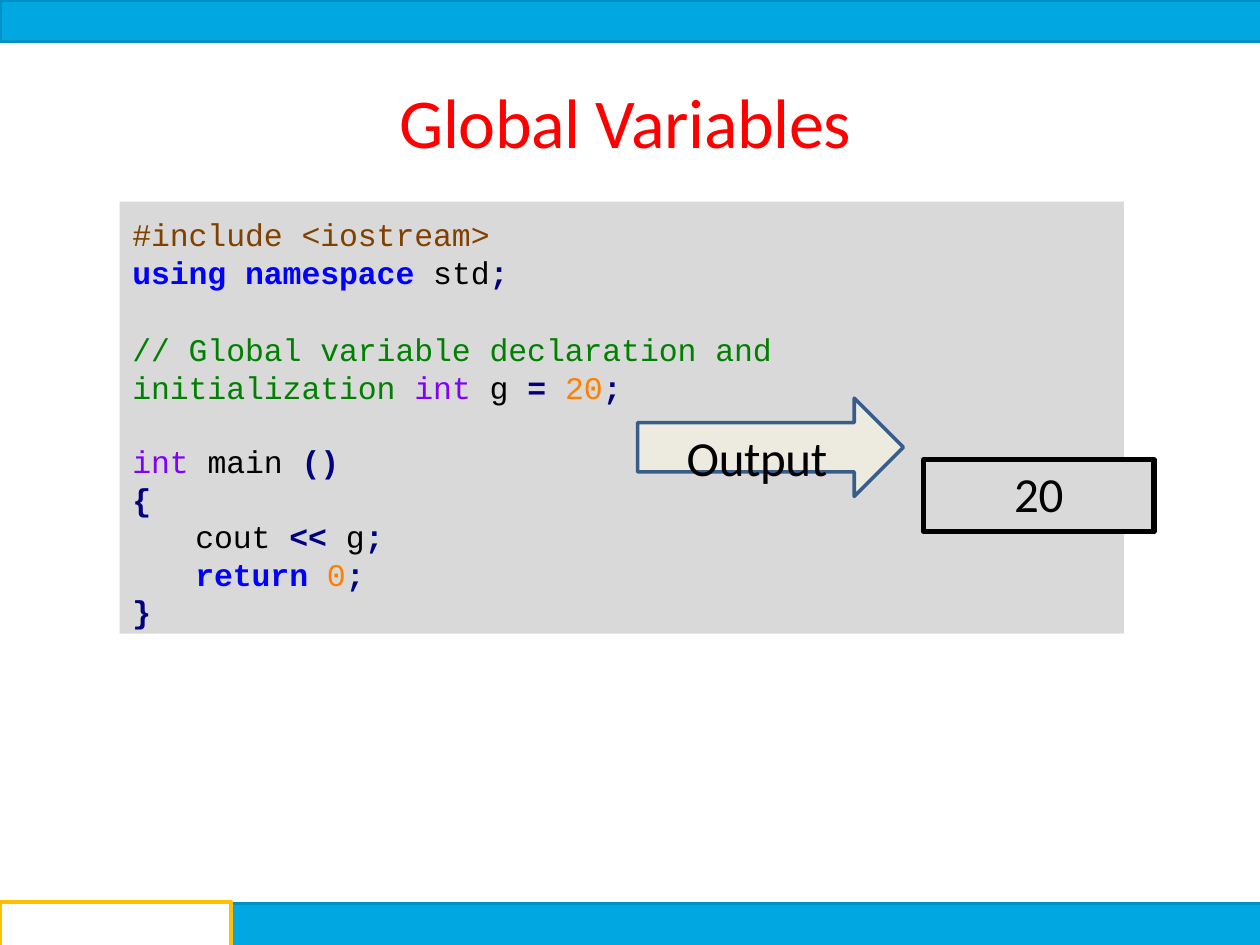
"""Build the Global Variables slide with its code listing and output."""
import pptx
import pptx.dml.color
import pptx.enum.shapes
import pptx.enum.text
import pptx.util

Inches = pptx.util.Inches
Pt = pptx.util.Pt
RGB = pptx.dml.color.RGBColor
KIND = pptx.enum.shapes.MSO_SHAPE
ALIGN = pptx.enum.text.PP_ALIGN

CYAN = RGB(0x00, 0xA7, 0xE1)
TEAL = RGB(0x00, 0x91, 0xC4)
GOLD = RGB(0xFF, 0xC0, 0x00)
WHITE = RGB(0xFF, 0xFF, 0xFF)
GREY = RGB(0xD9, 0xD9, 0xD9)
CREAM = RGB(0xED, 0xEB, 0xE0)
STEEL = RGB(0x38, 0x5D, 0x89)
RED = RGB(0xFF, 0x00, 0x00)
BLACK = RGB(0x00, 0x00, 0x00)
BROWN = RGB(0x80, 0x40, 0x00)
BLUE = RGB(0x00, 0x00, 0xFF)
NAVY = RGB(0x00, 0x00, 0x80)
GREEN = RGB(0x00, 0x80, 0x00)
VIOLET = RGB(0x80, 0x00, 0xFF)
ORANGE = RGB(0xFF, 0x80, 0x00)

deck = pptx.Presentation()
deck.slide_width = Inches(10)
deck.slide_height = Inches(7.5)
slide = deck.slides.add_slide(deck.slide_layouts[6])
shapes = slide.shapes


def block(kind, area, fill, line=None, width=0):
    shape = shapes.add_shape(kind, *[Inches(n) for n in area])
    shape.shadow.inherit = False
    shape.fill.solid()
    shape.fill.fore_color.rgb = fill
    if line is None:
        shape.line.fill.background()
    else:
        shape.line.color.rgb = line
        shape.line.width = Pt(width)
    return shape


def write(shape, rows, font, size, track, align=ALIGN.LEFT):
    frame = shape.text_frame
    frame.word_wrap = True
    frame.vertical_anchor = pptx.enum.text.MSO_ANCHOR.TOP
    frame.margin_left = frame.margin_right = frame.margin_bottom = 0
    frame.margin_top = Inches(0.03)
    for i, row in enumerate(rows):
        para = frame.paragraphs[0] if i == 0 else frame.add_paragraph()
        para.alignment = align
        for text, color, bold in row:
            run = para.add_run()
            run.text = text
            run.font.name = font
            run.font.size = Pt(size)
            run.font.bold = bold
            run.font.color.rgb = color
            run.font._element.set("spc", str(track))
    return frame


for area, fill in [
    ((0, 0, 10, 0.33), CYAN),
    ((1.83, 7.17, 8.17, 0.33), CYAN),
    ((0, 7.16, 1.83, 0.34), WHITE),
    ((0.95, 1.6, 7.97, 3.43), GREY),
]:
    block(KIND.RECTANGLE, area, fill)

for points, color, width in [
    ([(0, 0.33), (10, 0.33)], TEAL, 2.04),
    ([(10, 0), (0, 0), (0, 0.33)], TEAL, 2.04),
    ([(10, 7.17), (1.83, 7.17)], TEAL, 2.04),
    ([(1.83, 7.5), (1.83, 7.16), (0, 7.16), (0, 7.5)], GOLD, 2.28),
]:
    spots = [(Inches(x), Inches(y)) for x, y in points]
    path = shapes.build_freeform(*spots[0])
    path.add_line_segments(spots[1:], close=False)
    edge = path.convert_to_shape()
    edge.shadow.inherit = False
    edge.fill.background()
    edge.line.color.rgb = color
    edge.line.width = Pt(width)

title = shapes.add_textbox(Inches(3.17), Inches(0.59), Inches(3.8), Inches(0.7))
write(title, [[("Global Variables", RED, False)]], "Calibri", 40, -20)

head = [
    [("#include <iostream>", BROWN, False)],
    [("using namespace ", BLUE, True), ("std", BLACK, False), (";", NAVY, True)],
    [("// Global variable declaration and", GREEN, False)],
    [("initialization ", GREEN, False), ("int ", VIOLET, False),
     ("g ", BLACK, False), ("= ", NAVY, True), ("20", ORANGE, False),
     (";", NAVY, True)],
]
main = [
    [("int ", VIOLET, False), ("main ", BLACK, False), ("()", NAVY, True)],
    [("{", NAVY, True)],
    [("cout ", BLACK, False), ("<< ", NAVY, True), ("g", BLACK, False),
     (";", NAVY, True)],
    [("return ", BLUE, True), ("0", ORANGE, False), (";", NAVY, True)],
    [("}", NAVY, True)],
]
frames = []
for rows, top, wide in [(head, 1.68, 7.34), (main, 3.48, 3)]:
    box = shapes.add_textbox(Inches(1.05), Inches(top), Inches(wide), Inches(1.5))
    frame = write(box, rows, "Courier New", 18, -5)
    for para in frame.paragraphs:
        para.line_spacing = Pt(21.5)
    frames.append(frame)
frames[0].paragraphs[2].space_before = Pt(22.8)
for para in frames[1].paragraphs[2:4]:
    para._p.get_or_add_pPr().set("marL", str(Inches(0.5)))

value = block(KIND.RECTANGLE, (7.33, 3.65, 1.83, 0.57), GREY, BLACK, 3)
write(value, [[("20", BLACK, False)]], "Calibri", 28, -20, ALIGN.CENTER)

block(KIND.RIGHT_ARROW, (5.06, 3.16, 2.11, 0.78), CREAM, STEEL, 2.04)
label = shapes.add_textbox(Inches(5.45), Inches(3.36), Inches(1.25), Inches(0.5))
write(label, [[("Output", BLACK, False)]], "Calibri", 28, -20)

deck.save("out.pptx")
